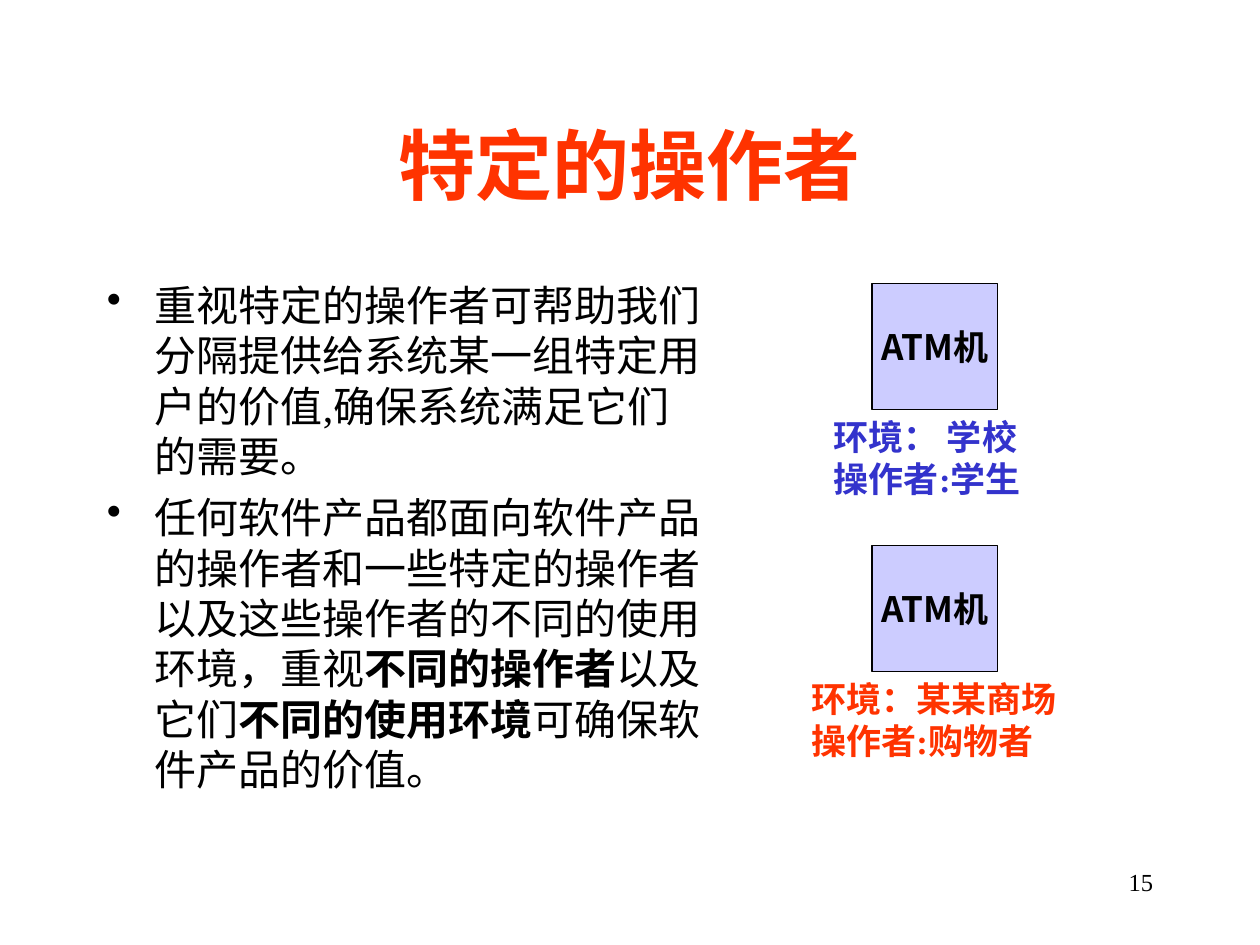
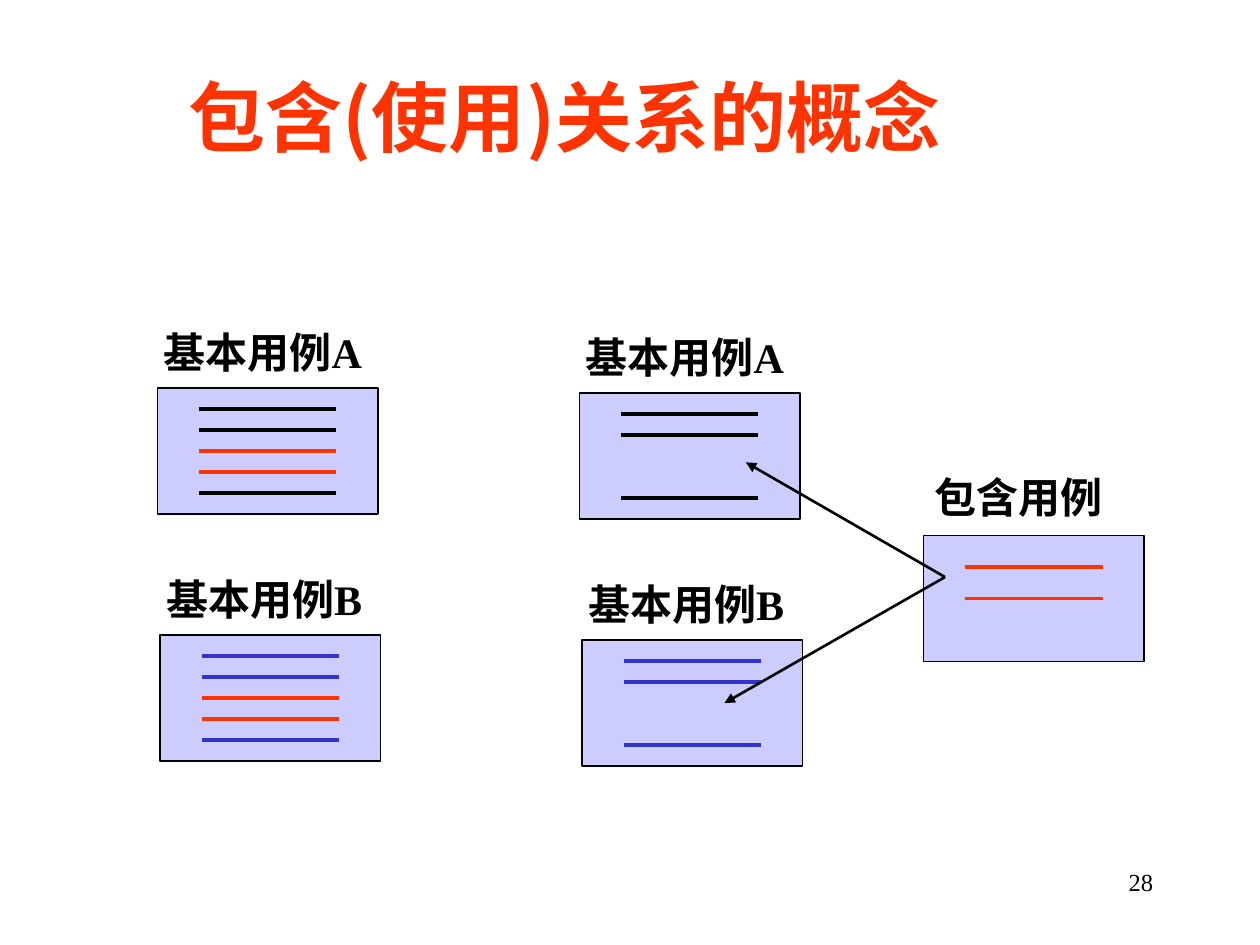
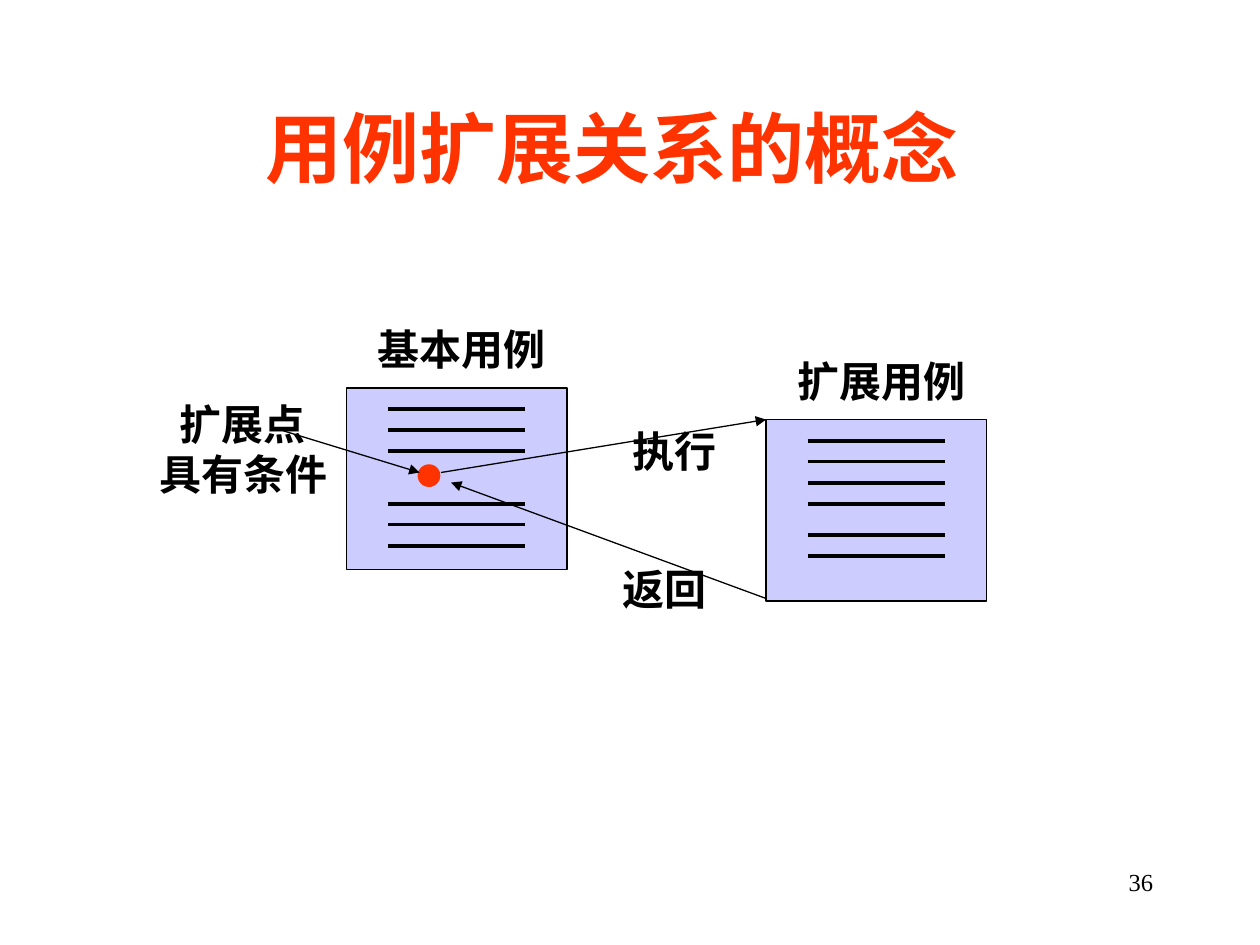
from lxml import etree
from pptx import Presentation
from pptx import util as u
from pptx.dml.color import RGBColor
from pptx.enum import shapes, text
from pptx.oxml.ns import qn

COLORS = {"ink": "000000", "red": "FF3300", "blue": "3333CC", "panel": "CCCCFF"}
LATIN = "Times New Roman"
CJK = "Noto Sans CJK SC"
LINE_HEIGHT = 1.2
BOX_WIDTH = 1.75
ROW = 1 / 6  # distance between the text strokes inside a use case box


def color(name):
    return RGBColor.from_string(COLORS[name])


def add_page(deck, number):
    page = deck.slides.add_slide(deck.slide_layouts[6])
    add_text(page, (7.17, 6.83, 2.08, 0.5), [str(number)], 14, bold=False,
             align=text.PP_ALIGN.RIGHT)
    return page


def style(para, size, tint="ink", bold=True, latin=LATIN):
    font = para.font
    font.size, font.bold, font.name = u.Pt(size), bold, latin
    font.color.rgb = color(tint)
    defaults = para._p.pPr.find(qn("a:defRPr"))
    etree.SubElement(defaults, qn("a:ea")).set("typeface", CJK)


def add_text(page, at, lines, size=24, tint="ink", bold=True,
             align=text.PP_ALIGN.LEFT):
    """Add one paragraph per line; a line is a string or a list of (words, run font)."""
    box = page.shapes.add_textbox(*map(u.Inches, at))
    frame = box.text_frame
    frame.word_wrap = True
    for index, line in enumerate(lines):
        para = frame.paragraphs[0] if index == 0 else frame.add_paragraph()
        para.alignment = align
        para.line_spacing = u.Pt(size * LINE_HEIGHT)
        style(para, size, tint, bold)
        for words, changes in [(line, {})] if isinstance(line, str) else line:
            span = para.add_run()
            span.text = words
            for name, value in changes.items():
                setattr(span.font, name, value)
    return frame


def add_title(page, at, line, **options):
    return add_text(page, at, [line], 44, "red", **options)


def add_bullets(page, at, lines):
    frame = add_text(page, at, lines, bold=False)
    for para in frame.paragraphs:
        para.space_before = u.Pt(6)
        props = para._p.pPr
        props.set("marL", str(u.Inches(0.38)))
        props.set("indent", str(u.Inches(-0.38)))
        bullet = etree.Element(qn("a:buChar"), char="•")
        props.find(qn("a:defRPr")).addprevious(bullet)


def add_figure(page, kind, at, fill, line="ink"):
    figure = page.shapes.add_shape(kind, *map(u.Inches, at))
    figure.shadow.inherit = False
    figure.fill.solid()
    figure.fill.fore_color.rgb = color(fill)
    figure.line.color.rgb = color(line)
    figure.line.width = u.Pt(0.75)
    return figure


def add_line(page, start, end, width, tint="ink", arrow=False):
    line = page.shapes.add_connector(shapes.MSO_CONNECTOR.STRAIGHT,
                                     *map(u.Inches, start + end))
    line.line.color.rgb = color(tint)
    line.line.width = u.Pt(width)
    if arrow:
        etree.SubElement(line.line._get_or_add_ln(), qn("a:tailEnd"), type="triangle")
    etree.SubElement(line._element.spPr, qn("a:effectLst"))


def add_use_case(page, label, left, top, strokes, height=1, shift=-0.05, rise=0.54):
    """Add a labelled box; strokes maps row numbers to colours."""
    add_figure(page, shapes.MSO_SHAPE.RECTANGLE, (left, top, BOX_WIDTH, height), "panel")
    add_text(page, (left + shift, top - rise, 2.1, 0.5), [label])
    for row, tint in strokes.items():
        y = top + row * ROW
        add_line(page, (left + 0.33, y), (left + 1.42, y), 2.25, tint)


def add_machine(page, top, note_left, note, tint):
    machine = add_figure(page, shapes.MSO_SHAPE.RECTANGLE, (6.92, top, 1, 1), "panel")
    frame = machine.text_frame
    frame.word_wrap = False
    frame.vertical_anchor = text.MSO_ANCHOR.MIDDLE
    para = frame.paragraphs[0]
    para.alignment = text.PP_ALIGN.CENTER
    para.add_run().text = "ATM机"
    style(para, 20, latin=CJK)
    add_text(page, (note_left, top + 1, 2.4, 0.77), note, 20, tint)


def build_actors(deck):
    page = add_page(deck, 15)
    title = add_title(page, (0.75, 0.67, 8.5, 1.25), "特定的操作者",
                      align=text.PP_ALIGN.CENTER)
    title.vertical_anchor = text.MSO_ANCHOR.MIDDLE
    strong = {"bold": True}
    add_bullets(page, (0.75, 2.17, 4.92, 4.5), [
        "重视特定的操作者可帮助我们分隔提供给系统某一组特定用户的价值,确保系统满足它们的需要。",
        [("任何软件产品都面向软件产品的操作者和一些特定的操作者"
          "以及这些操作者的不同的使用环境，重视", {}),
         ("不同的操作者", strong), ("以及它们", {}),
         ("不同的使用环境", strong), ("可确保软件产品的价值。", {})],
    ])
    add_machine(page, 2.25, 6.52, ["环境： 学校", "操作者:学生"], "blue")
    add_machine(page, 4.33, 6.34, ["环境：某某商场", "操作者:购物者"], "red")


def build_include(deck):
    page = add_page(deck, 28)
    add_title(page, (1.4, 0.5, 7.3, 0.84),
              [("包含", {}), ("(使用)", {"name": CJK}), ("关系的概念", {})])
    shared = {3: "red", 4: "red"}
    for label, left, top, tint in (("基本用例A", 1.25, 3.08, "ink"),
                                   ("基本用例B", 1.27, 5.04, "blue")):
        own = dict.fromkeys((1, 2, 5), tint)
        add_use_case(page, label, left, top, own | shared)
        add_use_case(page, label, left + 3.35, top + 0.04, own)
    add_use_case(page, "包含用例", 7.33, 4.25, {1.5: "red", 3: "red"},
                 shift=-0.01, rise=0.56)
    for target in ((5.92, 3.67), (5.75, 5.58)):
        add_line(page, (7.5, 4.58), target, 1.5, arrow=True)


def build_extend(deck):
    page = add_page(deck, 36)
    add_title(page, (2.01, 0.75, 6, 0.84), "用例扩展关系的概念")
    for label, left, top, rows in (
            ("基本用例", 2.75, 3.08, (1, 2, 3, 5.5, 6.5, 7.5)),
            ("扩展用例", 6.08, 3.33, (1, 2, 3, 4, 5.5, 6.5))):
        add_use_case(page, label, left, top, dict.fromkeys(rows, "ink"),
                     height=1.44, shift=0.15, rise=0.56)
    add_figure(page, shapes.MSO_SHAPE.OVAL, (3.32, 3.69, 0.17, 0.17), "red", "red")
    condition = add_text(page, (1.17, 3.11, 1.7, 0.9), ["扩展点", "具有条件"])
    condition.paragraphs[0]._p.pPr.set("marL", str(u.Inches(0.16)))
    for start, end in (((2.25, 3.42), (3.33, 3.75)),
                       ((3.5, 3.75), (6.08, 3.33)),
                       ((6.08, 4.75), (3.58, 3.83))):
        add_line(page, start, end, 0.75, arrow=True)
    add_text(page, (4.92, 3.33, 1, 0.5), ["执行"])
    add_text(page, (4.84, 4.42, 1, 0.5), ["返回"])


def main():
    deck = Presentation()
    deck.slide_width, deck.slide_height = u.Inches(10), u.Inches(7.5)
    build_actors(deck)
    build_include(deck)
    build_extend(deck)
    deck.save("out.pptx")


if __name__ == "__main__":
    main()
